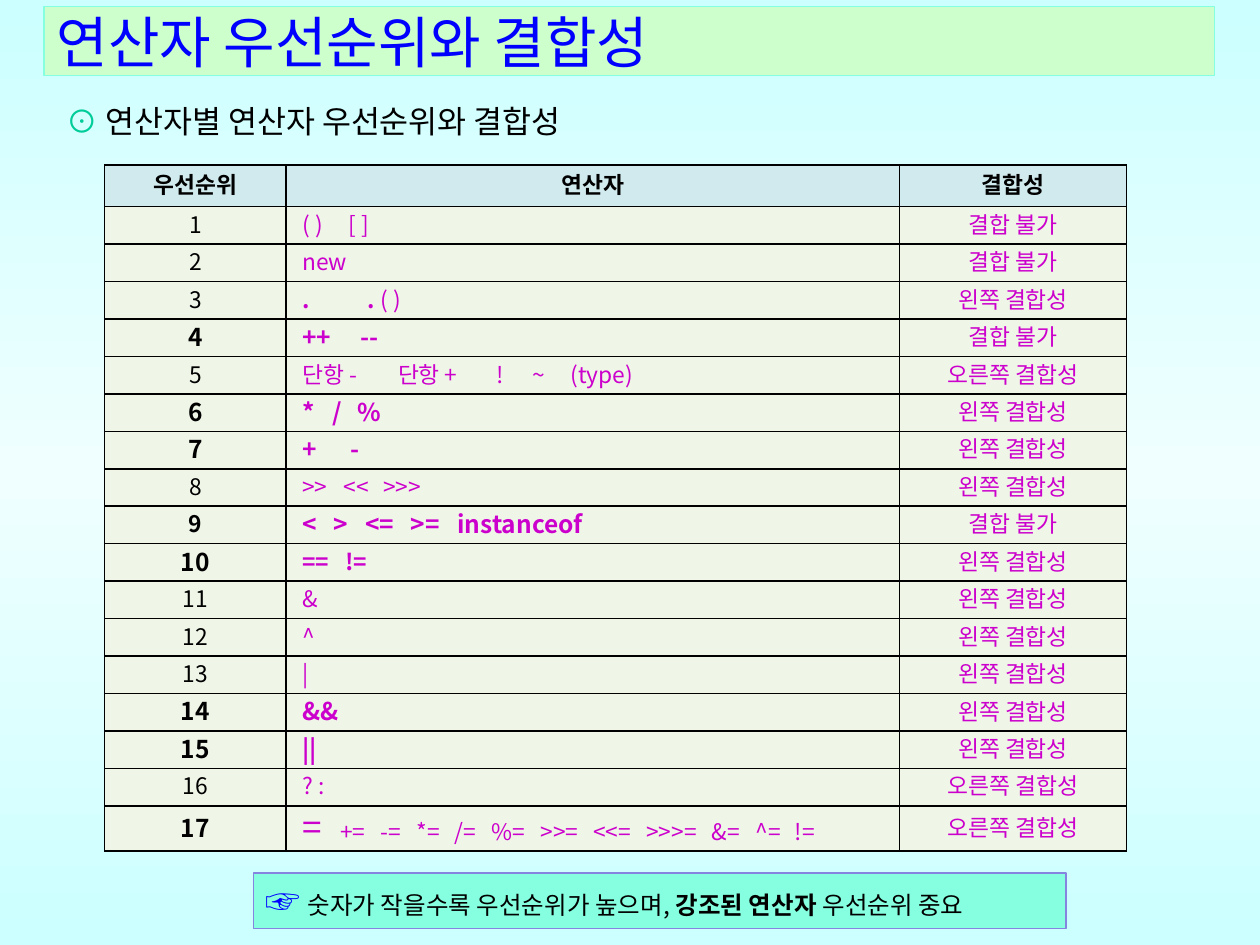
from dataclasses import dataclass

from lxml import etree
from pptx import Presentation
from pptx.dml.color import RGBColor
from pptx.enum import shapes, text
from pptx.oxml import ns
from pptx.util import Inches, Pt


@dataclass
class Theme:
    font: str = "Noto Sans CJK KR"
    ink: str = "000000"
    blue: str = "0000FF"
    green: str = "00CC99"
    pink: str = "CC00CC"
    lime: str = "CCFFCC"
    mint: str = "85FFE0"
    edge: str = "8585E0"
    head: str = "D0EAED"
    body: str = "EFF6E7"
    sky: tuple = (("0", "CCFFFF"), ("50000", "F0FFFF"), ("100000", "CCFFFF"))
    title: int = 32
    lead: int = 18
    large: int = 20
    strong: int = 14
    base: int = 13


def add(parent, tag, **attrs):
    return etree.SubElement(parent, ns.qn(tag), attrs)


class Deck:
    def __init__(self, look):
        self.look = look
        self.show = Presentation()
        self.show.slide_width = Inches(10)
        self.show.slide_height = Inches(7.5)
        self.slide = self.show.slides.add_slide(self.show.slide_layouts[6])

    def backdrop(self):
        fill = self.slide.background.fill
        fill.gradient()
        fill.gradient_angle = 90
        stops = self.slide.element.find(".//" + ns.qn("a:gsLst"))
        for stop in list(stops):
            stops.remove(stop)
        for pos, color in self.look.sky:
            add(add(stops, "a:gs", pos=pos), "a:srgbClr", val=color)

    def style(self, para, parts):
        for words, size, color, bold in parts:
            run = para.add_run()
            run.text = words
            font = run.font
            font.name, font.size, font.bold = self.look.font, Pt(size), bold
            font.color.rgb = RGBColor.from_string(color)
            add(run._r.get_or_add_rPr(), "a:ea", typeface=self.look.font)

    def label(self, area, parts):
        box = self.slide.shapes.add_textbox(*map(Inches, area))
        box.text_frame.word_wrap = True
        self.style(box.text_frame.paragraphs[0], parts)

    def panel(self, area, fill, line, parts):
        box = self.slide.shapes.add_shape(
            shapes.MSO_SHAPE.RECTANGLE, *map(Inches, area))
        box.shadow.inherit = False
        box.fill.solid()
        box.fill.fore_color.rgb = RGBColor.from_string(fill)
        box.line.color.rgb = RGBColor.from_string(line)
        box.line.width = Pt(0.75)
        frame = box.text_frame
        frame.word_wrap = True
        frame.vertical_anchor = text.MSO_ANCHOR.MIDDLE
        para = frame.paragraphs[0]
        para.alignment = text.PP_ALIGN.LEFT
        self.style(para, parts)

    def cell(self, cell, fill, parts, tabs=None):
        listed = tabs is not None
        cell.margin_left = Inches(0.13 if listed else 0.06)
        cell.margin_right = Inches(0.06)
        cell.margin_top = cell.margin_bottom = Inches(0.02)
        cell.vertical_anchor = text.MSO_ANCHOR.MIDDLE
        para = cell.text_frame.paragraphs[0]
        para.alignment = text.PP_ALIGN.LEFT if listed else text.PP_ALIGN.CENTER
        para.line_spacing = 0.8
        if tabs:
            stops = add(para._p.get_or_add_pPr(), "a:tabLst")
            for tab in tabs:
                add(stops, "a:tab", pos=str(Inches(tab)), algn="l")
        self.style(para, parts)
        props = cell._tc.get_or_add_tcPr()
        for side in ("L", "R", "T", "B"):
            edge = add(props, "a:ln" + side, w=str(Pt(1)))
            add(add(edge, "a:solidFill"), "a:srgbClr", val=self.look.ink)
        cell.fill.solid()
        cell.fill.fore_color.rgb = RGBColor.from_string(fill)

    def table(self, area, cols, heights, heads, rows):
        look = self.look
        grid = self.slide.shapes.add_table(
            len(heights), len(cols), *map(Inches, area)).table
        for col, width in zip(grid.columns, cols):
            col.width = Inches(width)
        for row, height in zip(grid.rows, heights):
            row.height = Inches(height)
        for i, head in enumerate(heads):
            self.cell(grid.cell(0, i), look.head,
                      [(head, look.base, look.ink, True)])
        for i, (size, bold, parts, tabs, bind) in enumerate(rows, 1):
            self.cell(grid.cell(i, 0), look.body,
                      [(str(i), size, look.ink, bold)])
            self.cell(grid.cell(i, 1), look.body, parts, tabs)
            self.cell(grid.cell(i, 2), look.body,
                      [(bind, look.base, look.pink, False)])

    def save(self):
        self.show.save("out.pptx")


def main():
    look = Theme()
    base, strong, pink = look.base, look.strong, look.pink
    none, left, right = "결합 불가", "왼쪽 결합성", "오른쪽 결합성"

    def plain(words, bind, *tabs):
        return base, False, [(words, base, pink, False)], tabs, bind

    def bold(words, bind, *tabs, num=strong, size=strong):
        return num, True, [(words, size, pink, True)], tabs, bind

    dots = [(".\t. ", base, pink, True), ("( )", base, pink, False)]
    sets = [("=", look.large, pink, False),
            ("\t+=\t-=\t*=\t/=\t%=\t>>=\t<<=\t>>>=\t&=\t^=\t!=",
             base, pink, False)]
    gaps = (0.3, 0.62, 0.91, 1.21, 1.5, 1.89, 2.31, 2.73, 3.25, 3.6, 3.91)
    rows = [
        plain("( )\t[ ]", none, 0.37),
        plain("new", none),
        (base, False, dots, (0.52,), left),
        bold("++\t--", none, 0.46),
        plain("단항 -\t단항 +\t!\t~\t(type)", right, 0.76, 1.54, 1.83, 2.13),
        bold("*\t/\t%", left, 0.24, 0.44),
        bold("+\t-", left, 0.38),
        plain(">>\t<<\t>>>", left, 0.33, 0.64),
        bold("<\t>\t<=\t>=\tinstanceof", none, 0.25, 0.5, 0.86, 1.23, num=base),
        bold("==\t!=", left, 0.34, size=base),
        plain("&", left),
        plain("^", left),
        plain("|", left),
        bold("&&", left),
        bold("||", left),
        plain("? :", right),
        (strong, True, sets, gaps, right),
    ]

    deck = Deck(look)
    deck.backdrop()
    deck.panel((0.35, 0.05, 9.29, 0.55), look.lime, look.mint,
               [("연산자 우선순위와 결합성", look.title, look.blue, False)])
    deck.label((0.43, 0.76, 9.33, 0.4),
               [("⊙ ", look.lead, look.green, False),
                ("연산자별 연산자 우선순위와 결합성", look.lead, look.ink, False)])
    deck.table((0.83, 1.31, 8.11, 5.46), (1.44, 4.87, 1.8),
               [0.33] + [4.76 / 16] * 16 + [0.36],
               ("우선순위", "연산자", "결합성"), rows)
    deck.panel((2.01, 6.93, 6.45, 0.44), look.mint, look.edge,
               [("☞", look.large, look.blue, False),
                (" ", look.lead, look.ink, False),
                ("숫자가 작을수록 우선순위가 높으며, ", strong, look.ink, False),
                ("강조된 연산자 ", strong, look.ink, True),
                ("우선순위 중요", strong, look.ink, False)])
    deck.save()


if __name__ == "__main__":
    main()
